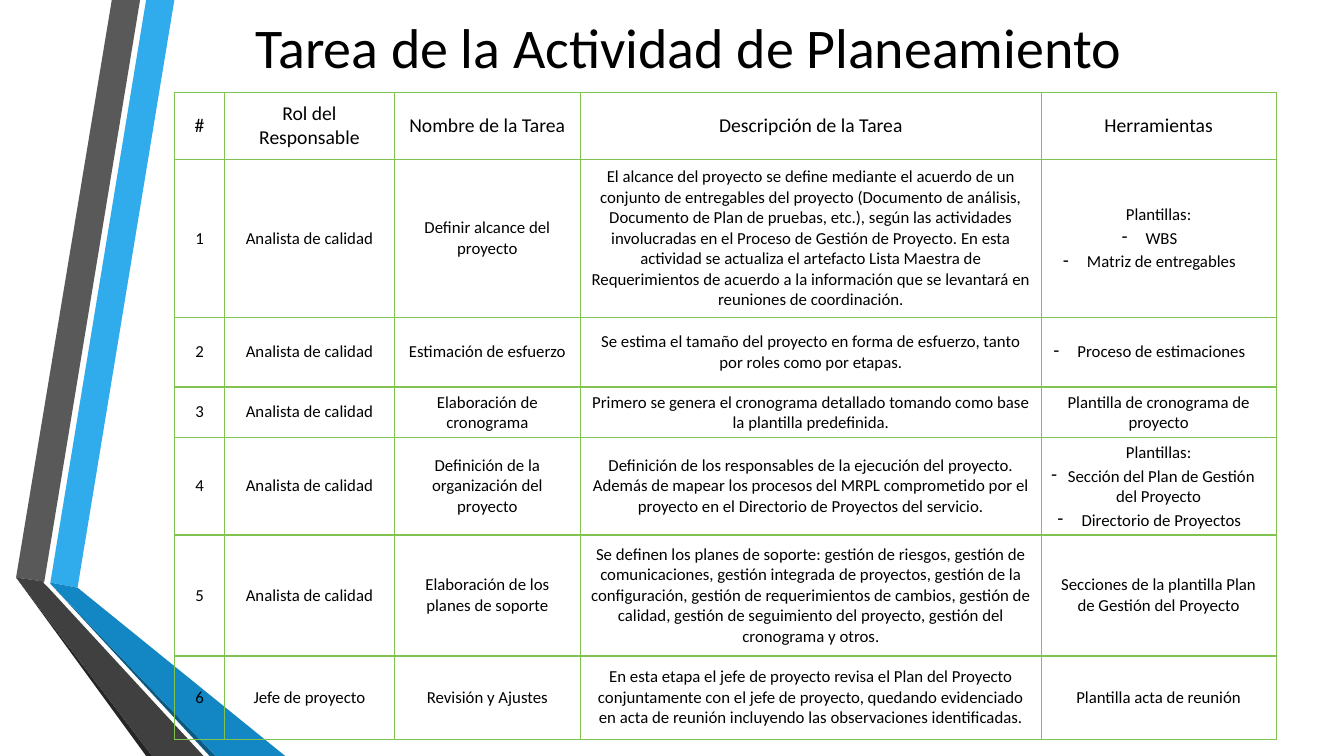
from pptx import Presentation
from pptx.dml.color import RGBColor
from pptx.enum.text import MSO_ANCHOR, PP_ALIGN
from pptx.util import Inches, Pt
from lxml.etree import SubElement, QName

BLACK = RGBColor(0x00, 0x00, 0x00)
GREEN = RGBColor(0x80, 0xC3, 0x4F)
SKY = RGBColor(0x30, 0xAC, 0xEC)
BLUE = RGBColor(0x12, 0x87, 0xC3)
NAVY = RGBColor(0x0C, 0x5A, 0x82)
GRAY = RGBColor(0x59, 0x59, 0x59)
DARK = RGBColor(0x40, 0x40, 0x40)
COAL = RGBColor(0x26, 0x26, 0x26)
NS = "http://schemas.openxmlformats.org/drawingml/2006/main"

BANDS = [
    (SKY, [(5, 57.8), (7.7, 58.3), (17.3, 0), (14.5, 0)]),
    (GRAY, [(13.9, 0), (11.1, 0), (1.6, 57.3), (4.4, 57.7)]),
    (COAL, [(1.6, 57.3), (14.5, 75), (15.1, 75)]),
    (NAVY, [(5, 57.9), (20.8, 75), (21.4, 75)]),
    (BLUE, [(5, 57.9), (21.4, 75), (28.3, 75), (7.7, 58.3), (5, 57.8)]),
    (DARK, [(20.2, 75), (4.8, 58.3), (4.3, 57.8), (4.4, 57.7), (1.6, 57.3), (15.1, 75)]),
]

HEAD = ["#", "Rol del Responsable", "Nombre de la Tarea", "Descripción de la Tarea", "Herramientas"]
QA = "Analista de calidad"
TASKS = [
    (QA, "Definir alcance del proyecto",
     "El alcance del proyecto se define mediante el acuerdo de un conjunto de entregables del "
     "proyecto (Documento de análisis, Documento de Plan de pruebas, etc.), según las actividades "
     "involucradas en el Proceso de Gestión de Proyecto. En esta actividad se actualiza el artefacto "
     "Lista Maestra de Requerimientos de acuerdo a la información que se levantará en reuniones "
     "de coordinación.",
     "Plantillas:\n-WBS\n-Matriz de entregables"),
    (QA, "Estimación de esfuerzo",
     "Se estima el tamaño del proyecto en forma de esfuerzo, tanto por roles como por etapas.",
     "-Proceso de estimaciones"),
    (QA, "Elaboración de cronograma",
     "Primero se genera el cronograma detallado tomando como base la plantilla predefinida.",
     "Plantilla de cronograma de proyecto"),
    (QA, "Definición de la organización del proyecto",
     "Definición de los responsables de la ejecución del proyecto. Además de mapear los procesos "
     "del MRPL comprometido por el proyecto en el Directorio de Proyectos del servicio.",
     "Plantillas:\n-Sección del Plan de Gestión del Proyecto\n-Directorio de Proyectos"),
    (QA, "Elaboración de los planes de soporte",
     "Se definen los planes de soporte: gestión de riesgos, gestión de comunicaciones, gestión "
     "integrada de proyectos, gestión de la configuración, gestión de requerimientos de cambios, "
     "gestión de calidad, gestión de seguimiento del proyecto, gestión del cronograma y otros.",
     "Secciones de la plantilla Plan de Gestión del Proyecto"),
    ("Jefe de proyecto", "Revisión y Ajustes",
     "En esta etapa el jefe de proyecto revisa el Plan del Proyecto conjuntamente con el jefe de "
     "proyecto, quedando evidenciado en acta de reunión incluyendo las observaciones identificadas.",
     "Plantilla acta de reunión"),
]
WIDE = [5, 16.8, 18.5, 45.7, 23.3]
HIGH = [6.6, 15.7, 6.9, 4.7, 9.1, 12, 8.3]


def tag(node, name, **keys):
    return SubElement(node, QName(NS, name), **keys)


class Board:
    """Draws on one slide with a grid of tenths of an inch."""

    def __init__(self):
        self.deck = Presentation()
        self.deck.slide_width = self.unit(133.33)
        self.deck.slide_height = self.unit(75)
        self.page = self.deck.slides.add_slide(self.deck.slide_layouts[6])
        self.font = {"name": "Calibri", "bold": False}

    def unit(self, cells):
        return Inches(cells / 10)

    def band(self, color, dots):
        dots = [(self.unit(col), self.unit(row)) for col, row in dots]
        pen = self.page.shapes.build_freeform(*dots[0])
        pen.add_line_segments(dots[1:], close=True)
        shape = pen.convert_to_shape()
        shape.shadow.inherit = False
        shape.fill.solid()
        shape.fill.fore_color.rgb = color
        shape.line.fill.background()

    def label(self, par, text, size):
        par.alignment = PP_ALIGN.CENTER
        run = par.add_run()
        run.text = text
        for key, value in {**self.font, "size": Pt(size)}.items():
            setattr(run.font, key, value)
        run.font.color.rgb = BLACK

    def title(self, text, *area):
        box = self.page.shapes.add_textbox(*map(self.unit, area))
        frame = box.text_frame
        for key, value in {"word_wrap": True, "vertical_anchor": MSO_ANCHOR.MIDDLE}.items():
            setattr(frame, key, value)
        self.label(frame.paragraphs[0], text, 40)

    def edge(self, cell):
        prop = cell._tc.get_or_add_tcPr()
        for side in ("lnL", "lnR", "lnT", "lnB"):
            line = tag(prop, side, w=str(Pt(1)))
            tag(tag(line, "solidFill"), "srgbClr", val=str(GREEN))

    def cell(self, cell, text, size):
        self.edge(cell)
        cell.fill.background()
        cell.vertical_anchor = MSO_ANCHOR.MIDDLE
        frame = cell.text_frame
        for n, line in enumerate(text.split("\n")):
            par = frame.add_paragraph() if n else frame.paragraphs[0]
            self.label(par, line.removeprefix("-"), size)
            prop = par._p.get_or_add_pPr()
            tag(tag(prop, "spcBef"), "spcPct", val="20000")
            if line.startswith("-"):
                tag(prop, "buChar", char="-")

    def table(self, left, top, data, wide, high):
        area = map(self.unit, (left, top, sum(wide), sum(high)))
        grid = self.page.shapes.add_table(len(high), len(wide), *area).table
        for key in ("first_row", "horz_banding"):
            setattr(grid, key, False)
        for col, size in zip(grid.columns, wide):
            col.width = self.unit(size)
        for row, size in zip(grid.rows, high):
            row.height = self.unit(size)
        for r, line in enumerate(data):
            for c, text in enumerate(line):
                self.cell(grid.cell(r, c), text, 12 if r else 14)


def main():
    board = Board()
    for color, dots in BANDS:
        board.band(color, dots)
    board.title("Tarea de la Actividad de Planeamiento", 13.5, 0, 109.6, 9.2)
    rows = [HEAD] + [(str(n), *task) for n, task in enumerate(TASKS, 1)]
    board.table(17.3, 9.2, rows, WIDE, HIGH)
    board.deck.save("out.pptx")


if __name__ == "__main__":
    main()
